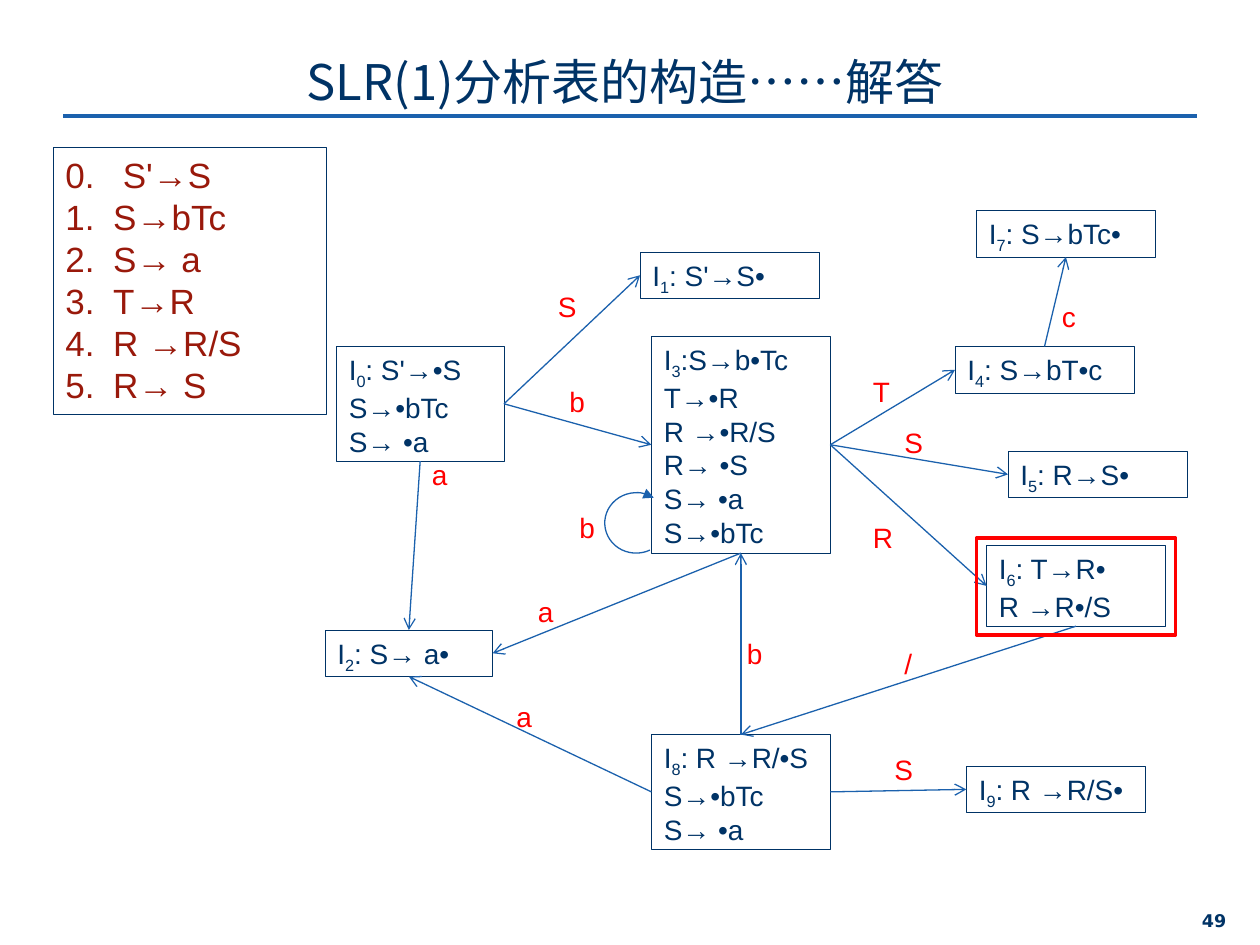
from lxml import etree
from pptx import Presentation
from pptx.dml.color import RGBColor as RGB
from pptx.enum.shapes import MSO_CONNECTOR as Connector, MSO_SHAPE as Shape
from pptx.enum.text import MSO_ANCHOR as Anchor, MSO_AUTO_SIZE as AutoSize, PP_ALIGN as Align
from pptx.oxml.ns import qn
from pptx.util import Inches, Pt

COLORS = {"navy": "003366", "blue": "1B61AD", "maroon": "99190B", "red": "FF0000", "white": "FFFFFF"}
TITLE = "SLR(1)分析表的构造……解答"
PAGE = "49"
START_RULE = "0.\t S'→S"
RULES = ["S→bTc", "S→ a", "T→R", "R →R/S", "R→ S"]
STATE_HEIGHTS = {1: 0.37, 2: 0.64, 3: 0.91, 6: 1.72}
STATES = [
    (2.67, 2.75, 1.33, [": S'→•S", "S→•bTc", "S→ •a"]),
    (5.08, 2, 1.42, [": S'→S•"]),
    (2.58, 5, 1.33, [": S→ a•"]),
    (5.17, 2.67, 1.42, [":S→b•Tc", "T→•R", "R →•R/S", "R→ •S", "S→ •a", "S→•bTc"]),
    (7.58, 2.75, 1.42, [": S→bT•c"]),
    (8, 3.58, 1.42, [": R→S•"]),
    (7.83, 4.33, 1.42, [": T→R•", "R →R•/S"]),
    (7.75, 1.67, 1.42, [": S→bTc•"]),
    (5.17, 5.83, 1.42, [": R →R/•S", "S→•bTc", "S→ •a"]),
    (7.67, 6.08, 1.42, [": R →R/S•"]),
]
TOP, LEFT, BOTTOM, RIGHT = range(4)
MOVES = [
    (0, RIGHT, 1, LEFT, "S", 4.33, 2.25),
    (0, BOTTOM, 2, TOP, "a", 3.33, 3.58),
    (0, RIGHT, 3, LEFT, "b", 4.42, 3),
    (3, BOTTOM, 2, RIGHT, "a", 4.17, 4.67),
    (3, RIGHT, 4, LEFT, "T", 6.83, 2.92),
    (3, RIGHT, 5, LEFT, "S", 7.08, 3.33),
    (3, RIGHT, 6, LEFT, "R", 6.83, 4.08),
    (4, TOP, 7, BOTTOM, "c", 8.33, 2.33),
    (6, BOTTOM, 8, TOP, "/", 7.08, 5.08),
    (8, RIGHT, 9, LEFT, "S", 7, 5.92),
    (8, TOP, 3, BOTTOM, "b", 5.83, 5),
    (8, LEFT, 2, BOTTOM, "a", 4, 5.5),
]
LOOP_LABEL = ("b", 4.5, 4)
HANGING = 0.38


def apply(target, **values):
    for name, value in values.items():
        setattr(target, name, value)


def color(name):
    return RGB.from_string(COLORS[name])


def write(paragraph, text, size, tint, face="Arial", bold=False, baseline=0):
    run = paragraph.add_run()
    run.text = text
    apply(run.font, name=face, size=Pt(size), bold=bold)
    run.font.color.rgb = color(tint)
    props = run._r.get_or_add_rPr()
    if baseline:
        props.set("baseline", str(baseline))
    if face != "Arial":
        etree.SubElement(props, qn("a:ea")).set("typeface", face)


def next_paragraph(frame, first):
    paragraph = frame.paragraphs[0] if first else frame.add_paragraph()
    props = paragraph._p.get_or_add_pPr()
    props.set("marL", str(Inches(HANGING)))
    props.set("indent", str(-Inches(HANGING)))
    return paragraph


def stroke(shape, tint, width):
    shape.line.color.rgb = color(tint)
    shape.line.width = Pt(width)


def add_arrowhead(shape, kind):
    etree.SubElement(shape.line._get_or_add_ln(), qn("a:tailEnd")).set("type", kind)


def add_outline(slide, kind, box, tint, width, fill=None):
    shape = slide.shapes.add_shape(kind, *map(Inches, box))
    shape.shadow.inherit = False
    if fill:
        shape.fill.solid()
        shape.fill.fore_color.rgb = color(fill)
    else:
        shape.fill.background()
    stroke(shape, tint, width)
    return shape


def add_frame(slide, box):
    shape = add_outline(slide, Shape.RECTANGLE, box, "navy", 0.25, "white")
    apply(shape.text_frame, word_wrap=True, vertical_anchor=Anchor.TOP,
          auto_size=AutoSize.SHAPE_TO_FIT_TEXT)
    return shape


def add_text(slide, box, text, size, tint, align=Align.LEFT, anchor=Anchor.TOP, **style):
    frame = slide.shapes.add_textbox(*map(Inches, box)).text_frame
    apply(frame, word_wrap=True, vertical_anchor=anchor)
    frame.paragraphs[0].alignment = align
    write(frame.paragraphs[0], text, size, tint, **style)


def add_line(slide, width, start=(0, 0), end=(0, 0)):
    line = slide.shapes.add_connector(Connector.STRAIGHT, *map(Inches, start + end))
    stroke(line, "blue", width)
    etree.SubElement(line._element.spPr, qn("a:effectLst"))
    return line


def add_grammar(slide):
    frame = add_frame(slide, (0.42, 1.17, 2.17, 2.12)).text_frame
    for index, rule in enumerate([START_RULE] + RULES):
        paragraph = next_paragraph(frame, index == 0)
        paragraph.alignment = Align.LEFT
        if index:
            numbering = etree.SubElement(paragraph._p.get_or_add_pPr(), qn("a:buAutoNum"))
            numbering.set("type", "arabicPeriod")
        write(paragraph, rule, 20, "maroon")


def add_state(slide, number, left, top, width, items):
    state = add_frame(slide, (left, top, width, STATE_HEIGHTS[len(items)]))
    for index, item in enumerate(items):
        paragraph = next_paragraph(state.text_frame, index == 0)
        paragraph.alignment = Align.LEFT
        if index == 0:
            write(paragraph, "I", 16, "navy")
            write(paragraph, str(number), 16, "navy", baseline=-25000)
        write(paragraph, item, 16, "navy")
    return state


def add_label(slide, symbol, left, top):
    add_text(slide, (left, top, 0.5, 0.37), symbol, 16, "red")


def main():
    deck = Presentation()
    apply(deck, slide_width=Inches(10), slide_height=Inches(7.5))
    slide = deck.slides.add_slide(deck.slide_layouts[6])

    add_line(slide, 2.25, (0.5, 0.92), (9.5, 0.92))
    add_text(slide, (0.92, 0.33, 8.08, 0.62), TITLE, 28, "navy", Align.CENTER,
             Anchor.MIDDLE, face="Noto Sans CJK SC")
    add_text(slide, (7.5, 7.17, 2.33, 0.28), PAGE, 10, "navy", Align.RIGHT,
             face="DejaVu Sans", bold=True)
    add_grammar(slide)

    states = [add_state(slide, number, *state) for number, state in enumerate(STATES)]
    for source, source_side, target, target_side, symbol, left, top in MOVES:
        arrow = add_line(slide, 0.75)
        arrow.begin_connect(states[source], source_side)
        arrow.end_connect(states[target], target_side)
        add_arrowhead(arrow, "arrow")
        add_label(slide, symbol, left, top)

    loop = add_outline(slide, Shape.ARC, (4.81, 3.9, 0.48, 0.5), "blue", 0.75)
    loop.rotation = 267.1
    loop.adjustments[0], loop.adjustments[1] = 93.74, 22.67
    add_arrowhead(loop, "triangle")
    add_label(slide, *LOOP_LABEL)
    add_outline(slide, Shape.RECTANGLE, (7.75, 4.27, 1.58, 0.77), "red", 2)

    deck.save("out.pptx")


if __name__ == "__main__":
    main()
